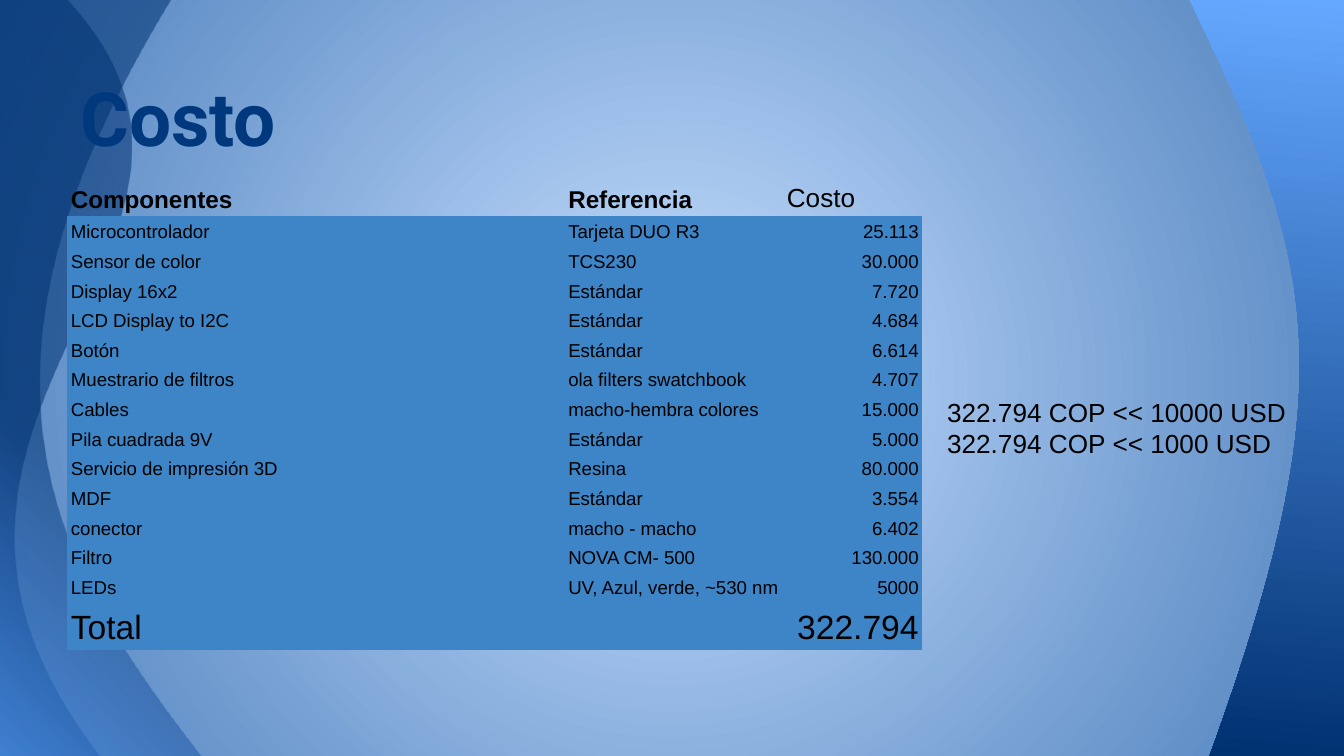
from dataclasses import dataclass

from lxml import etree
from pptx import Presentation
from pptx.dml.color import RGBColor as RGB
from pptx.enum.text import MSO_ANCHOR as Anchor, MSO_AUTO_SIZE as AutoSize, PP_ALIGN as Align
from pptx.oxml.ns import qn
from pptx.util import Cm, Pt


@dataclass(frozen=True)
class Theme:
    heading_font: str = "Roboto"
    body_font: str = "Arial"
    heading: str = "00387E"
    text: str = "000000"
    cell: str = "3D85C6"
    navy: str = "003171"
    azure: str = "549FFF"
    sky: str = "65A8FF"
    glow: str = "C6DFFF"
    steel: str = "4F81BD"
    title_size: int = 40
    total_size: int = 18
    note_size: int = 14
    header_size: int = 13
    body_size: int = 10


NO_TABLE_STYLE = "{2D5ABB26-0587-4C30-8999-92F81FD0307C}"
CENTRE = dict(l="50000", t="50000", r="50000", b="50000")
BOTTOM_LEFT = dict(l="0", t="100000", r="100000", b="0")

HEADER = ("Componentes", "Referencia", "Costo")
COMPONENTS = [
    ("Microcontrolador", "Tarjeta DUO R3", "25.113"),
    ("Sensor de color", "TCS230", "30.000"),
    ("Display 16x2", "Estándar", "7.720"),
    ("LCD Display to I2C", "Estándar", "4.684"),
    ("Botón", "Estándar", "6.614"),
    ("Muestrario de filtros", "ola filters swatchbook", "4.707"),
    ("Cables", "macho-hembra colores", "15.000"),
    ("Pila cuadrada 9V", "Estándar", "5.000"),
    ("Servicio de impresión 3D", "Resina", "80.000"),
    ("MDF", "Estándar", "3.554"),
    ("conector", "macho - macho", "6.402"),
    ("Filtro", "NOVA CM- 500", "130.000"),
    ("LEDs", "UV, Azul, verde, ~530 nm", "5000"),
]
TOTAL = ("Total", "", "322.794")


class SlideBuilder:
    def __init__(self, prs, theme):
        self.theme = theme
        self.s = prs.slides.add_slide(prs.slide_layouts[5])

    def style(self, p, size, font=None, color=None, bold=False):
        for r in p.runs:
            r.font.size = Pt(size)
            r.font.name = font or self.theme.body_font
            r.font.color.rgb = RGB.from_string(color or self.theme.text)
            r.font.bold = bold

    def gradient(self, fill, props, colors, focus=None, angle=0, alpha=100):
        fill.gradient()
        grad = props.find(qn("a:gradFill"))
        for child in list(grad):
            grad.remove(child)
        stops = etree.SubElement(grad, qn("a:gsLst"))
        for position, color in colors:
            stop = etree.SubElement(stops, qn("a:gs"), pos=str(position * 1000))
            rgb = etree.SubElement(stop, qn("a:srgbClr"), val=color)
            if alpha < 100:
                etree.SubElement(rgb, qn("a:alpha"), val=str(alpha * 1000))
        if focus:
            shade = etree.SubElement(grad, qn("a:path"), path="circle")
            etree.SubElement(shade, qn("a:fillToRect"), **focus)
        else:
            etree.SubElement(grad, qn("a:lin"), ang=str(angle * 60000), scaled="0")

    def background(self, colors):
        fill = self.s.background.fill
        props = self.s.element.find(".//" + qn("p:bgPr"))
        self.gradient(fill, props, colors, focus=CENTRE)

    def wave(self, curve, corners, colors, **shade):
        start, *points = [(Cm(x), Cm(y)) for x, y in curve + corners]
        builder = self.s.shapes.build_freeform(*start)
        builder.add_line_segments(points)
        sp = builder.convert_to_shape()
        lines = sp.element.findall(".//" + qn("a:lnTo"))[:3]
        bezier = etree.Element(qn("a:cubicBezTo"))
        lines[0].addprevious(bezier)
        for line in lines:
            bezier.append(line[0])
            line.getparent().remove(line)
        sp.shadow.inherit = False
        sp.line.fill.background()
        self.gradient(sp.fill, sp.element.spPr, colors, **shade)

    def frame(self, tf, anchor):
        tf.word_wrap = True
        tf.auto_size = AutoSize.NONE
        tf.vertical_anchor = anchor
        tf.margin_left = tf.margin_right = tf.margin_top = tf.margin_bottom = Cm(0.25)

    def title(self, text, x, y, w, h):
        sp = self.s.shapes.title
        sp.left, sp.top, sp.width, sp.height = Cm(x), Cm(y), Cm(w), Cm(h)
        sp.text_frame.text = text
        self.frame(sp.text_frame, Anchor.BOTTOM)
        p = sp.text_frame.paragraphs[0]
        p.alignment = Align.LEFT
        self.style(p, self.theme.title_size, self.theme.heading_font, self.theme.heading, True)
        sp.element.getparent().append(sp.element)

    def note(self, lines, x, y, w, h):
        tf = self.s.shapes.add_textbox(Cm(x), Cm(y), Cm(w), Cm(h)).text_frame
        tf.text = "\n".join(lines)
        self.frame(tf, Anchor.TOP)
        for p in tf.paragraphs:
            self.style(p, self.theme.note_size)

    def cell(self, cell, text, size, align, bold, filled):
        cell.margin_left = cell.margin_right = Cm(0.07)
        cell.margin_top, cell.margin_bottom = Cm(0.04), Cm(0.06)
        cell.vertical_anchor = Anchor.BOTTOM
        if filled:
            cell.fill.solid()
            cell.fill.fore_color.rgb = RGB.from_string(self.theme.cell)
        else:
            cell.fill.background()
        cell.text_frame.text = text
        p = cell.text_frame.paragraphs[0]
        p.alignment = align
        p.line_spacing = 1.15
        p.font.size = Pt(size)
        self.style(p, size, bold=bold)

    def cost_table(self, rows, x, y, widths, heights):
        sp = self.s.shapes.add_table(len(rows), len(widths), Cm(x), Cm(y),
                                     Cm(sum(widths)), Cm(sum(heights)))
        table = sp.table
        table.first_row = table.horz_banding = False
        sp.element.find(".//" + qn("a:tableStyleId")).text = NO_TABLE_STYLE
        for column, width in zip(table.columns, widths):
            column.width = Cm(width)
        for i, (values, height) in enumerate(zip(rows, heights)):
            table.rows[i].height = Cm(height)
            header, total = i == 0, i == len(rows) - 1
            for j, text in enumerate(values):
                cost = j == len(values) - 1
                size = self.theme.total_size if total else self.theme.body_size
                if header:
                    size = self.theme.note_size if cost else self.theme.header_size
                align = Align.RIGHT if cost and not header else Align.LEFT
                self.cell(table.cell(i, j), text, size, align, header and not cost, not header)


def main():
    theme = Theme()
    prs = Presentation()
    prs.slide_width, prs.slide_height = Cm(25.4), Cm(14.29)
    slide = SlideBuilder(prs, theme)

    slide.background([(0, theme.glow), (100, theme.steel)])
    left_colors = [(0, theme.azure), (41, theme.navy), (100, theme.navy)]
    left_curves = [
        [(3.23, 0), (-0.97, 6.91), (0.84, 10.49), (3.81, 14.29)],
        [(1.27, 0), (5.51, 4.62), (-3.1, 7.82), (1.9, 14.29)],
    ]
    for curve in left_curves:
        slide.wave(curve, [(0, 14.29), (0, 0)], left_colors, focus=BOTTOM_LEFT, alpha=54)
    right_curve = [(22.86, 14.29), (25.43, 7.21), (24.92, 4.98), (22.48, 0)]
    slide.wave(right_curve, [(25.53, 0), (25.53, 14.29)],
               [(0, theme.sky), (100, theme.navy)], angle=95)

    slide.title("Costo", 1.27, 0.53, 22.86, 2.77)
    slide.cost_table([HEADER, *COMPONENTS, TOTAL], 1.27, 3.33, (9.4, 4.13, 2.63),
                     [0.76] + [0.56] * len(COMPONENTS) + [0.89])
    slide.note(["322.794 COP << 10000 USD", "322.794 COP << 1000 USD"], 17.65, 7.24, 8.48, 1.55)
    prs.save("out.pptx")


if __name__ == "__main__":
    main()
